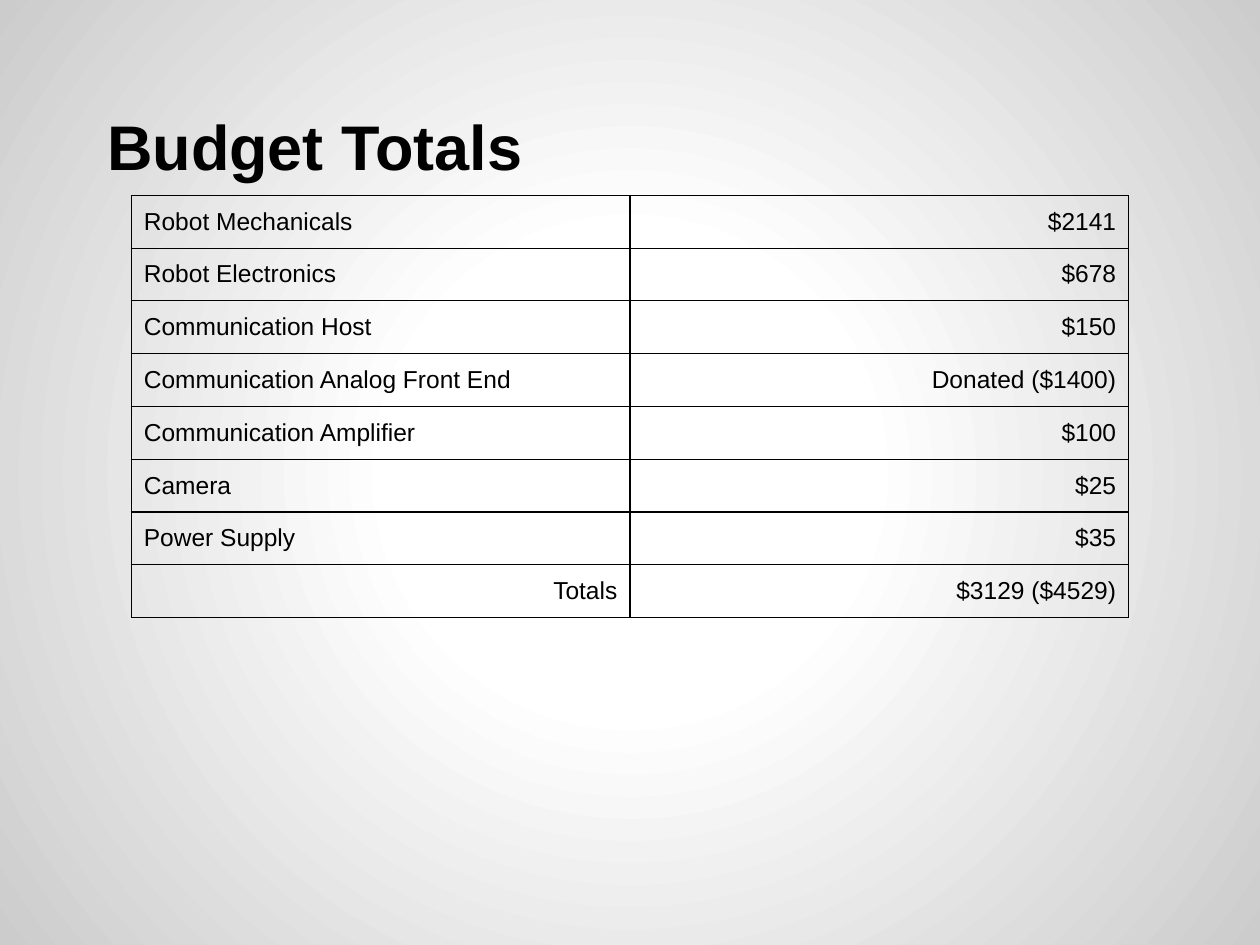
"""Build the budget totals slide."""
from typing import NamedTuple

from pptx import Presentation
from pptx.dml.color import RGBColor
from pptx.enum.text import MSO_ANCHOR as Anchor, MSO_AUTO_SIZE as Fit, PP_ALIGN as Align
from pptx.oxml import parse_xml
from pptx.oxml.ns import nsdecls, qn
from pptx.slide import Slide
from pptx.table import _Cell as Cell
from pptx.util import Pt

BLACK = RGBColor(0x00, 0x00, 0x00)
WHITE = RGBColor(0xFF, 0xFF, 0xFF)
GRAY = RGBColor(0xCC, 0xCC, 0xCC)
STOPS = ((0, WHITE), (30, WHITE), (100, GRAY))
FACE = "Arial"
INSET = Pt(7.2)


class Item(NamedTuple):
    name: str
    cost: str
    side: Align = Align.LEFT


ITEMS = (
    Item("Robot Mechanicals", "$2141"),
    Item("Robot Electronics", "$678"),
    Item("Communication Host", "$150"),
    Item("Communication Analog Front End", "Donated ($1400)"),
    Item("Communication Amplifier", "$100"),
    Item("Camera", "$25"),
    Item("Power Supply", "$35"),
    Item("Totals", "$3129 ($4529)", Align.RIGHT),
)


def paint_back(slide: Slide) -> None:
    slide.background.fill.gradient()
    old = next(slide.element.iter(qn("a:gradFill")))
    stops = "".join(
        f'<a:gs pos="{pos * 1000}"><a:srgbClr val="{color}"/></a:gs>'
        for pos, color in STOPS
    )
    new = parse_xml(
        f'<a:gradFill {nsdecls("a")} rotWithShape="1"><a:gsLst>{stops}</a:gsLst>'
        '<a:path path="circle"><a:fillToRect l="50000" t="50000" r="50000" b="50000"/>'
        "</a:path></a:gradFill>"
    )
    old.getparent().replace(old, new)


def add_title(slide: Slide, text: str) -> None:
    title = slide.shapes.title
    title.left, title.top, title.width, title.height = Pt(36), Pt(21.6), Pt(648), Pt(90)
    frame = title.text_frame
    frame.text = text
    frame.auto_size = Fit.NONE
    frame.vertical_anchor = Anchor.BOTTOM
    frame.margin_left = frame.margin_right = INSET
    frame.margin_top = frame.margin_bottom = INSET
    line = frame.paragraphs[0]
    line.alignment = Align.LEFT
    line.font.name, line.font.size, line.font.bold = FACE, Pt(36), True
    line.font.color.rgb = BLACK
    props = line._p.get_or_add_pPr()
    props.set("marL", "0")
    props.set("indent", str(Pt(18)))


def add_edges(cell: Cell) -> None:
    props = cell._tc.get_or_add_tcPr()
    for spot, side in enumerate("LRTB"):
        edge = parse_xml(
            f'<a:ln{side} {nsdecls("a")} w="{Pt(0.75)}"><a:solidFill>'
            f'<a:srgbClr val="{BLACK}"/></a:solidFill></a:ln{side}>'
        )
        props.insert(spot, edge)


def fill_cell(cell: Cell, text: str, side: Align) -> None:
    cell.text = text
    cell.fill.background()
    cell.margin_left = cell.margin_right = INSET
    cell.margin_top = cell.margin_bottom = INSET
    line = cell.text_frame.paragraphs[0]
    line.alignment = side
    line.font.name, line.font.size = FACE, Pt(14)
    line.font.color.rgb = BLACK
    add_edges(cell)


def add_budget(slide: Slide, items: tuple[Item, ...]) -> None:
    high = Pt(30.1)
    frame = slide.shapes.add_table(
        len(items), 2, Pt(75), Pt(111.6), Pt(570), high * len(items)
    )
    table = frame.table
    table.first_row = table.horz_banding = False
    for row, item in zip(table.rows, items):
        row.height = high
        fill_cell(row.cells[0], item.name, item.side)
        fill_cell(row.cells[1], item.cost, Align.RIGHT)


def main() -> None:
    deck = Presentation()
    deck.slide_width, deck.slide_height = Pt(720), Pt(540)
    slide = deck.slides.add_slide(deck.slide_layouts[5])
    paint_back(slide)
    add_title(slide, "Budget Totals")
    add_budget(slide, ITEMS)
    deck.save("out.pptx")


if __name__ == "__main__":
    main()
